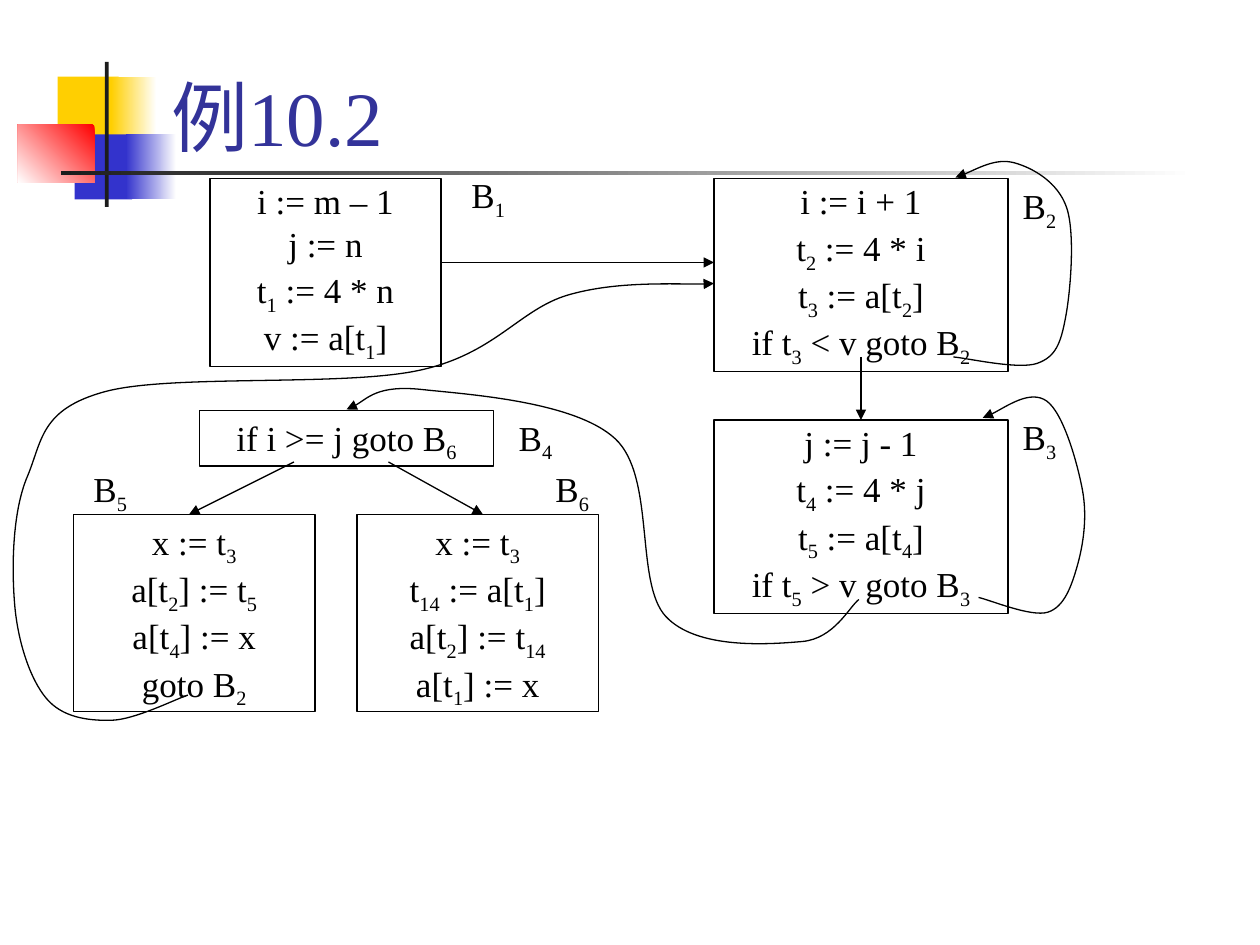
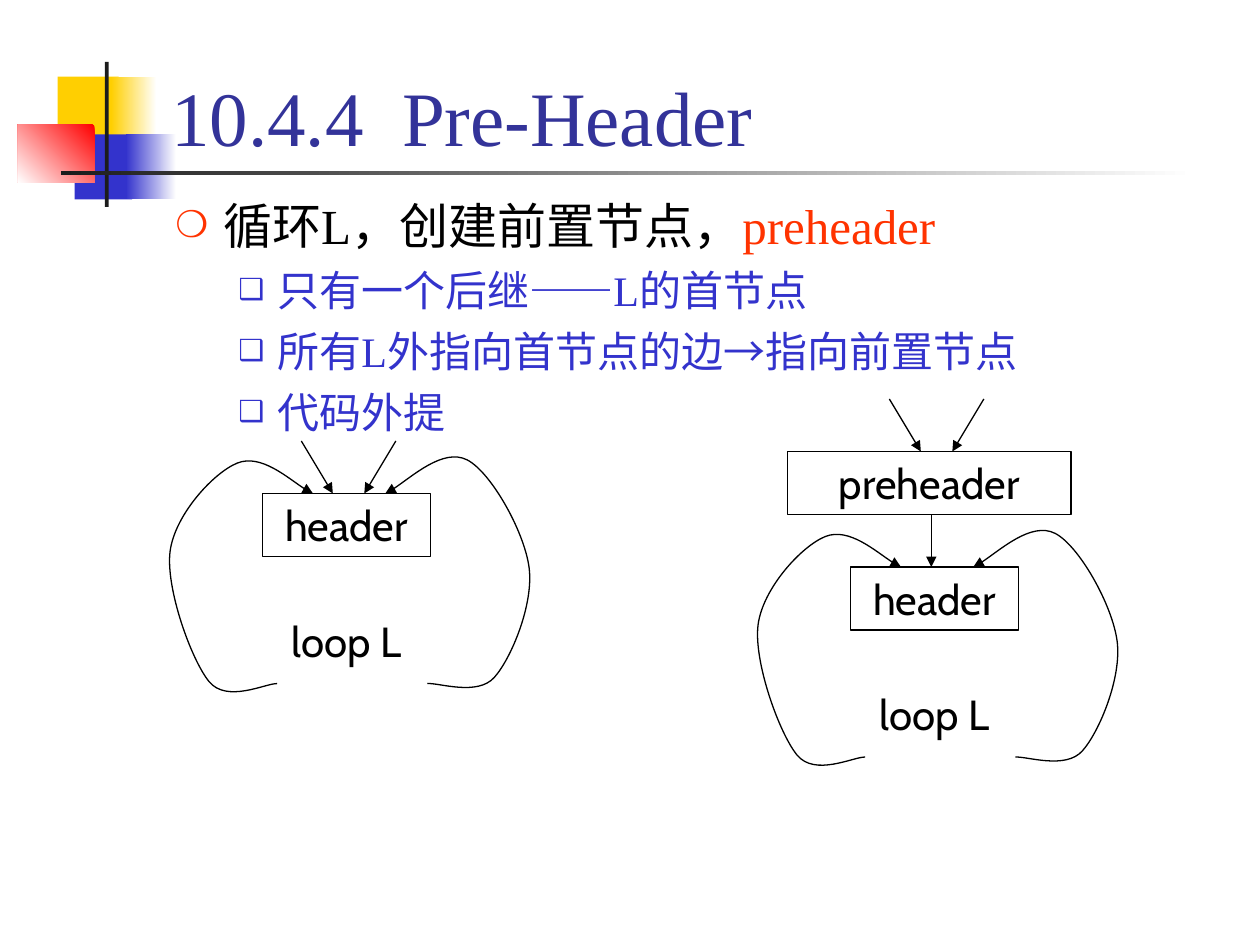
import lxml.etree
import pptx
import pptx.dml.color
import pptx.enum.shapes
import pptx.enum.text
import pptx.oxml.ns
import pptx.util

# Grid: 120 columns by 90 rows, twelve cells to the inch
CELL = pptx.util.Inches(1) / 12
INK, NAVY, BLUE, RED = "000000", "333399", "3333CC", "FF3300"
GOLD, DARK, WHITE = "FFCF01", "1C1C1C", "FFFFFF"
SERIF, SANS = "Times New Roman", "Cabin"
ALIGN = pptx.enum.text.PP_ALIGN
ANCHOR = pptx.enum.text.MSO_ANCHOR
RECT = pptx.enum.shapes.MSO_SHAPE.RECTANGLE


def grid(*cells):
    return [round(cell * CELL) for cell in cells]


def color(code):
    return pptx.dml.color.RGBColor.from_string(code)


def add_tag(parent, tag, **attrs):
    return lxml.etree.SubElement(parent, pptx.oxml.ns.qn(tag), attrs)


def place(shape, *cells):
    shape.left, shape.top, shape.width, shape.height = grid(*cells)


def add_run(para, text, size, ink=INK, font=SERIF, sub=False):
    run = para.add_run()
    run.text = text
    run.font.size = pptx.util.Pt(size)
    run.font.name = font
    run.font.color.rgb = color(ink)
    if sub:
        run._r.get_or_add_rPr().set("baseline", "-25000")


def fill_text(shape, lines, size, font, pitch):
    """Centre the lines; text between two ~ marks is a subscript."""
    frame = shape.text_frame
    frame.word_wrap = True
    frame.vertical_anchor = ANCHOR.TOP
    for index, line in enumerate(lines):
        para = frame.add_paragraph() if index else frame.paragraphs[0]
        para.alignment = ALIGN.CENTER
        para.line_spacing = pitch
        para.space_before = pptx.util.Pt(2.5 if index else 0)
        for part, text in enumerate(line.split("~")):
            if text:
                add_run(para, text, size, font=font, sub=part % 2 == 1)


def draw_line(shape):
    shape.line.color.rgb = color(INK)
    shape.line.width = pptx.util.Pt(0.75)


def add_box(slide, cells, lines, size=20, font=SERIF, pitch=0.9):
    box = slide.shapes.add_shape(RECT, *grid(*cells))
    box.shadow.inherit = False
    box.fill.background()
    draw_line(box)
    fill_text(box, lines, size, font, pitch)


def add_label(slide, cells, text, size=20, font=SERIF, pitch=0.9):
    label = slide.shapes.add_textbox(*grid(*cells))
    fill_text(label, [text], size, font, pitch)


def add_head(shape):
    add_tag(shape._element.xpath(".//a:ln")[0], "a:tailEnd", type="triangle")


def add_arrow(slide, start, end):
    kind = pptx.enum.shapes.MSO_CONNECTOR.STRAIGHT
    arrow = slide.shapes.add_connector(kind, *grid(*start, *end))
    draw_line(arrow)
    add_head(arrow)
    add_tag(arrow._element.spPr, "a:effectLst")


def add_curve(slide, knots):
    """Smooth arrow through the knots (Catmull-Rom spline)."""
    points = [grid(*knot) for knot in knots]
    maker = slide.shapes.build_freeform(*points[0])
    maker.add_line_segments(points[1:], close=False)
    curve = maker.convert_to_shape()
    curve.shadow.inherit = False
    curve.fill.background()
    draw_line(curve)
    add_head(curve)

    route = curve._element.xpath(".//a:path")[0]
    spots = [(int(pt.get("x")), int(pt.get("y")))
             for pt in route.iter(pptx.oxml.ns.qn("a:pt"))]
    last = len(spots) - 1

    def lean(index):
        before, after = spots[max(index - 1, 0)], spots[min(index + 1, last)]
        return [(b - a) / 6 for a, b in zip(before, after)]

    for part in list(route)[1:]:
        route.remove(part)
    for i in range(last):
        bend = add_tag(route, "a:cubicBezTo")
        leave = [p + d for p, d in zip(spots[i], lean(i))]
        reach = [p - d for p, d in zip(spots[i + 1], lean(i + 1))]
        for x, y in (leave, reach, spots[i + 1]):
            add_tag(bend, "a:pt", x=str(round(x)), y=str(round(y)))


def add_decor(deck, slide):
    """Draw the corner motif, then move it to the master."""
    tree = deck.slide_master.shapes._spTree
    parts = [
        ((5.5, 7.3, 5.8, 6.2), [GOLD], 0),
        ((10.6, 7.3, 4.3, 6.2), [WHITE, GOLD], 180),
        ((7.1, 12.8, 5.5, 6.2), [BLUE], 0),
        ((12, 12.8, 4.8, 6.2), [WHITE, BLUE], 180),
        ((1.7, 11.9, 7.3, 5.5), ["FF0000", WHITE], 225),
        ((10, 5.9, 0.36, 13.8), [DARK], 0),
        ((5.8, 16.3, 108, 0.36), [WHITE, DARK], 180),
    ]
    for spot, (cells, inks, angle) in enumerate(parts, 2):
        block = slide.shapes.add_shape(RECT, *grid(*cells))
        block.shadow.inherit = False
        block.line.fill.background()
        if len(inks) == 1:
            block.fill.solid()
            block.fill.fore_color.rgb = color(inks[0])
        else:
            block.fill.gradient()
            block.fill.gradient_angle = angle
            for stop, ink in zip(block.fill.gradient_stops, inks):
                stop.color.rgb = color(ink)
        tree.insert(spot, block._element)


def set_title(slide, text):
    title = slide.shapes.title
    place(title, 15.1, 1, 102.2, 15)
    frame = title.text_frame
    frame.auto_size = pptx.enum.text.MSO_AUTO_SIZE.NONE
    frame.vertical_anchor = ANCHOR.BOTTOM
    para = frame.paragraphs[0]
    para.alignment = ALIGN.LEFT
    add_run(para, text, 44, NAVY)


def set_list(slide, items):
    """Each item is a level and its runs: text, ink, font."""
    body = slide.placeholders[1]
    place(body, 15.5, 18, 102, 62)
    frame = body.text_frame
    frame.auto_size = pptx.enum.text.MSO_AUTO_SIZE.NONE
    styles = [(28, 0.38, 0.38, "❍", RED, 75), (24, 0.81, 0.31, "❑", BLUE, 69)]
    for index, (level, runs) in enumerate(items):
        size, left, hang, mark, ink, share = styles[level]
        para = frame.add_paragraph() if index else frame.paragraphs[0]
        para.level = level
        para.space_before = pptx.util.Pt(6 if index else 0)
        props = para._p.get_or_add_pPr()
        props.set("marL", str(pptx.util.Inches(left)))
        props.set("indent", str(-pptx.util.Inches(hang)))
        add_tag(add_tag(props, "a:buClr"), "a:srgbClr", val=ink)
        add_tag(props, "a:buSzPct", val=str(share * 1000))
        add_tag(props, "a:buChar", char=mark)
        for text, tint, font in runs:
            add_run(para, text, size, tint, font)


def add_flow(slide):
    # Basic blocks
    blocks = [
        ((20, 17, 22, 17.9),
         ["i := m – 1", "j := n", "t~1~ := 4 * n", "v := a[t~1~]"]),
        ((68, 17, 28, 18.4),
         ["i := i + 1", "t~2~ := 4 * i", "t~3~ := a[t~2~]",
          "if t~3~ < v goto B~2~"]),
        ((68, 40, 28, 18.4),
         ["j := j - 1", "t~4~ := 4 * j", "t~5~ := a[t~4~]",
          "if t~5~ > v goto B~3~"]),
        ((19, 39.1, 28, 5.3), ["if i >= j goto B~6~"]),
        ((7, 49, 23, 18.8),
         ["x := t~3~", "a[t~2~] := t~5~", "a[t~4~] := x", "goto B~2~"]),
        ((34, 49, 23, 18.8),
         ["x := t~3~", "t~14~ := a[t~1~]", "a[t~2~] := t~14~",
          "a[t~1~] := x"]),
    ]
    for cells, lines in blocks:
        add_box(slide, cells, lines)

    # Straight edges
    for start, end in [((42, 25), (68, 25)), ((82, 34), (82, 40)),
                       ((28, 44), (18, 49)), ((37, 44), (46, 49))]:
        add_arrow(slide, start, end)

    # Block names
    names = [(43, 16, 7, 0.9), (95, 17, 8, 1), (95, 39, 8, 1),
             (47, 39.1, 8, 0.9), (7, 44, 7, 0.9), (51, 44, 7, 0.9)]
    for number, (col, row, wide, pitch) in enumerate(names, 1):
        add_label(slide, (col, row, wide, 5.3), f"B~{number}~", pitch=pitch)

    # Back edges
    for knots in [
        [(81.8, 57.1), (76.4, 61.1), (63.4, 58.7), (58.6, 41.8),
         (40.2, 37.1), (33, 39)],
        [(93.2, 56.9), (99.8, 58.3), (102.6, 53.9), (103.1, 46.7),
         (99.7, 38.2), (93.6, 39.8)],
        [(90.8, 34), (98.8, 34.6), (101.5, 30.2), (101.6, 19.8),
         (96.6, 15.5), (91, 16.9)],
        [(17.9, 66.2), (10.6, 68.6), (4.4, 66.5), (1.4, 57.6), (2.6, 45.4),
         (10, 37.3), (39.8, 35.3), (54.1, 28.1), (68, 27)],
    ]:
        add_curve(slide, knots)


def add_loop(slide, col, row):
    """Header box, loop name and the two back edges."""
    add_box(slide, (col, row, 16, 6), ["header"], 24, SANS, 1)
    add_label(slide, (col, row + 11, 16, 6), "loop L", 24, SANS, 1)
    for knots in [
        [(1.4, 18.1), (-5.1, 17.9), (-8.8, 5.5), (-2.4, -2.9), (4.8, 0)],
        [(15.7, 18.1), (22.1, 17.5), (25.4, 7.1), (19.5, -3.2), (11.7, 0)],
    ]:
        add_curve(slide, [(col + x, row + y) for x, y in knots])


def add_entry(slide, col, row):
    """Two arrows that come in from above."""
    for start, end in [(12.7, 9.7), (3.7, 6.7)]:
        add_arrow(slide, (col + start, row - 5), (col + end, row))


def main():
    deck = pptx.Presentation()
    deck.slide_width, deck.slide_height = grid(120, 90)

    # Slide 1: flow graph
    flow = deck.slides.add_slide(deck.slide_layouts[5])
    add_decor(deck, flow)
    set_title(flow, "例10.2")
    add_flow(flow)

    # Slide 2: loop before and after the pre-header
    pre = deck.slides.add_slide(deck.slide_layouts[1])
    set_title(pre, "10.4.4  Pre-Header")
    set_list(pre, [
        (0, [("循环L，创建前置节点，", INK, SERIF), ("preheader", RED, SERIF)]),
        (1, [("只有一个后继——L的首节点", BLUE, SERIF)]),
        (1, [("所有L外指向首节点的边", BLUE, SERIF), ("→", BLUE, "Arial"),
             ("指向前置节点", BLUE, SERIF)]),
        (1, [("代码外提", BLUE, SERIF)]),
    ])
    add_loop(pre, 25, 47)
    add_entry(pre, 25, 47)
    add_box(pre, (75, 43, 27, 6), ["preheader"], 24, SANS, 1)
    add_entry(pre, 81, 43)
    add_arrow(pre, (88.7, 49), (88.7, 54))
    add_loop(pre, 81, 54)

    deck.save("out.pptx")


if __name__ == "__main__":
    main()
